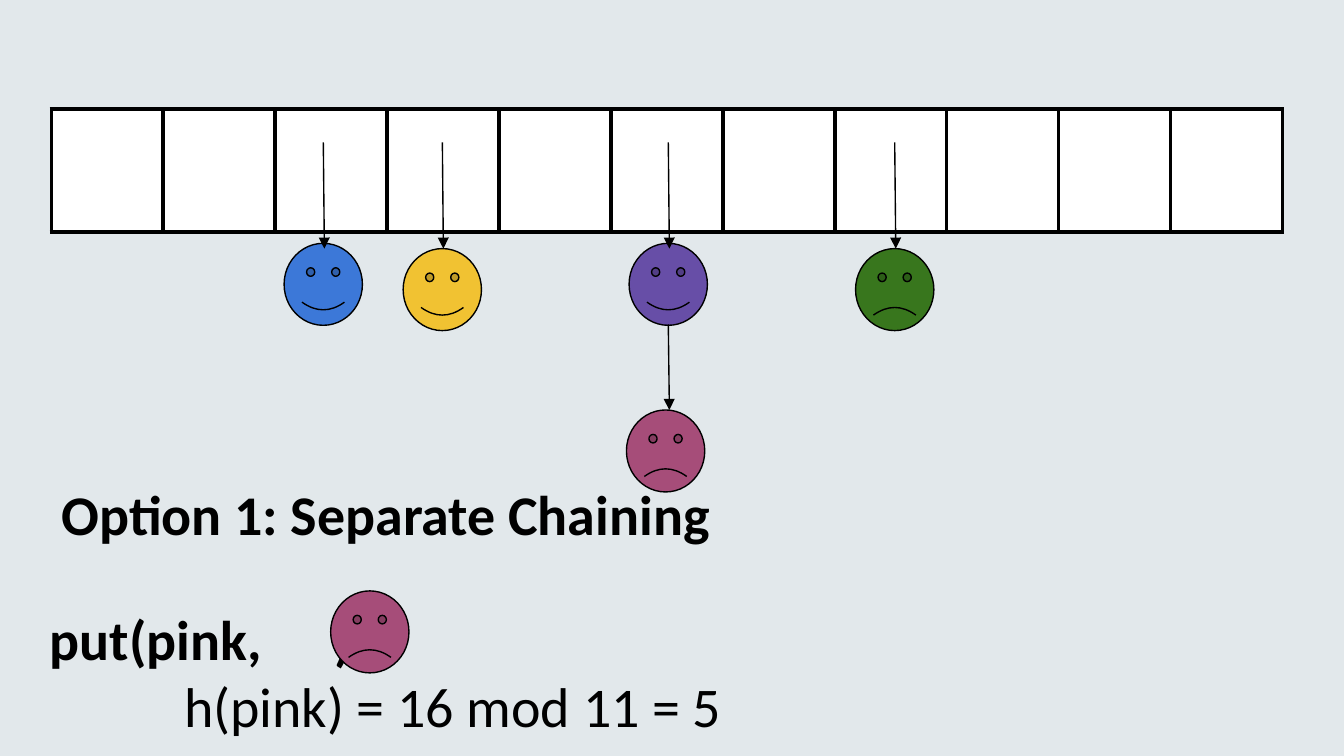
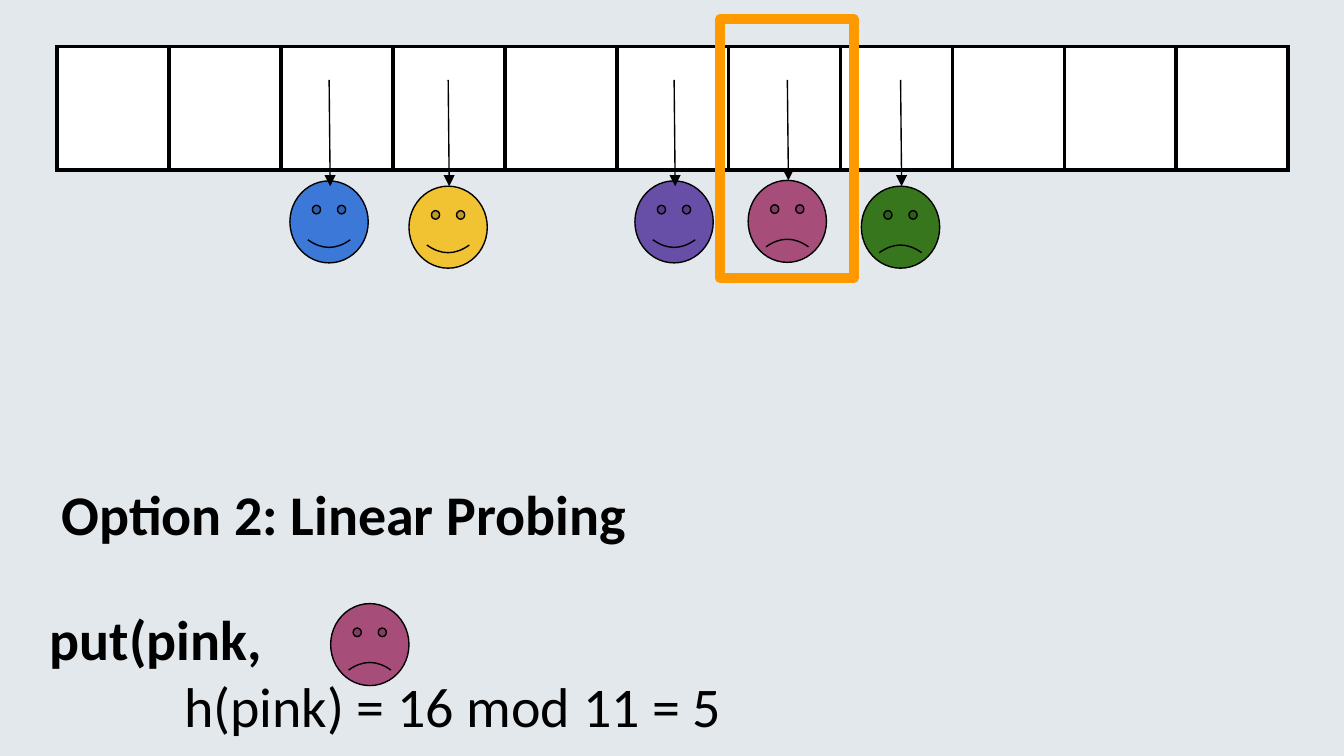
import pptx
import pptx.dml.color
import pptx.enum.shapes
import pptx.oxml
import pptx.oxml.ns
import pptx.util
from dataclasses import dataclass
from lxml import etree

Cm = pptx.util.Cm
Pt = pptx.util.Pt
SHAPE = pptx.enum.shapes.MSO_SHAPE
qn = pptx.oxml.ns.qn


@dataclass(frozen=True)
class Theme:
    font: str = "Calibri"
    size: float = 30
    background: str = "E2E8EB"
    ink: str = "000000"
    cell: str = "FFFFFF"
    blue: str = "3C78D8"
    yellow: str = "F1C232"
    purple: str = "674EA7"
    green: str = "38761D"
    pink: str = "A64D79"
    highlight: str = "FF9900"
    thin: float = 0.75
    border: float = 2.25
    frame: float = 5.25


THEME = Theme()
BUCKETS = 11
TABLE_W, TABLE_H = 23.27, 2.33
FACE_W, FACE_H = 1.48, 1.55
SMILE = 0.05
ARROW_TOP, ARROW_TIP = 0.63, 2.64
STORED = [
    (THEME.blue, 4.4, 2.54, True),
    (THEME.yellow, 6.65, 2.64, True),
    (THEME.purple, 10.92, 2.54, True),
    (THEME.green, 15.2, 2.64, False),
]


def rgb(value):
    return pptx.dml.color.RGBColor.from_string(value)


def set_line(line, color, width):
    line.color.rgb = rgb(color)
    line.width = Pt(width)


def add_text(slide, x, y, w, h, paragraphs):
    s = slide.shapes.add_textbox(Cm(x), Cm(y), Cm(w), Cm(h))
    tf = s.text_frame
    tf.word_wrap = True
    tf.margin_left = tf.margin_right = tf.margin_top = tf.margin_bottom = Cm(0.25)
    for i, (text, style) in enumerate(paragraphs):
        p = tf.paragraphs[0] if i == 0 else tf.add_paragraph()
        write(p, text, **style)


def write(p, text, bold=True, indent=0, tab=None):
    props = p._p.get_or_add_pPr()
    if indent:
        props.set("marL", str(Cm(indent)))
        props.set("indent", "0")
    if tab:
        tabs = etree.SubElement(props, qn("a:tabLst"))
        etree.SubElement(tabs, qn("a:tab"), pos=str(Cm(tab)), algn="l")
    r = p.add_run()
    r.text = text
    r.font.name = THEME.font
    r.font.size = Pt(THEME.size)
    r.font.bold = bold
    r.font.color.rgb = rgb(THEME.ink)


def add_border(cell):
    props = cell._tc.get_or_add_tcPr()
    for side in ("lnL", "lnR", "lnT", "lnB"):
        ln = etree.SubElement(props, qn(f"a:{side}"), w=str(Pt(THEME.border)))
        fill = etree.SubElement(ln, qn("a:solidFill"))
        etree.SubElement(fill, qn("a:srgbClr"), val=THEME.ink)


def add_buckets(slide, x, y):
    frame = slide.shapes.add_table(1, BUCKETS, Cm(x), Cm(y), Cm(TABLE_W), Cm(TABLE_H))
    table = frame.table
    table.first_row = False
    table.horz_banding = False
    for column in table.columns:
        column.width = Cm(TABLE_W / BUCKETS)
    for cell in table.iter_cells():
        add_border(cell)
        cell.fill.solid()
        cell.fill.fore_color.rgb = rgb(THEME.cell)


def add_face(slide, color, x, y, happy):
    s = slide.shapes.add_shape(SHAPE.SMILEY_FACE, Cm(x), Cm(y), Cm(FACE_W), Cm(FACE_H))
    s.shadow.inherit = False
    s.adjustments[0] = SMILE if happy else -SMILE
    s.fill.solid()
    s.fill.fore_color.rgb = rgb(color)
    set_line(s.line, THEME.ink, THEME.thin)


def add_arrow(slide, x, top, tip):
    s = slide.shapes.add_connector(
        pptx.enum.shapes.MSO_CONNECTOR.STRAIGHT, Cm(x), Cm(top), Cm(x + 0.02), Cm(tip))
    set_line(s.line, THEME.ink, THEME.thin)
    etree.SubElement(s.line._get_or_add_ln(), qn("a:tailEnd"), type="triangle")
    etree.SubElement(s._element.spPr, qn("a:effectLst"))


def add_entry(slide, x, y, color, dx, dy, happy, tip=ARROW_TIP):
    add_face(slide, color, x + dx, y + dy, happy)
    add_arrow(slide, x + dx + FACE_W / 2, y + ARROW_TOP, y + tip)


def add_highlight(slide, x, y, w, h):
    s = slide.shapes.add_shape(SHAPE.RECTANGLE, Cm(x), Cm(y), Cm(w), Cm(h))
    s.shadow.inherit = False
    s.fill.background()
    set_line(s.line, THEME.highlight, THEME.frame)
    etree.SubElement(s.line._get_or_add_ln(), qn("a:round"))


def add_hash_slide(prs, title, x, y, key_y, tab):
    slide = prs.slides.add_slide(prs.slide_layouts[6])
    add_buckets(slide, x, y)
    for entry in STORED:
        add_entry(slide, x, y, *entry)
    add_text(slide, 0.69, 11.18, 20.32, 2.36, [
        ("put(pink,\t)", {"tab": tab}),
        ("h(pink) = 16 mod 11 = 5", {"bold": False, "indent": 2.54}),
    ])
    add_face(slide, THEME.pink, 6.25, key_y, False)
    add_text(slide, 0.91, 8.81, 20.32, 1.63, [(title, {})])
    return slide


def main():
    prs = pptx.Presentation()
    prs.slide_width, prs.slide_height = Cm(25.4), Cm(14.29)
    fill = prs.slide_master.background.fill
    fill.solid()
    fill.fore_color.rgb = rgb(THEME.background)

    chaining = add_hash_slide(prs, "Option 1: Separate Chaining", 0.97, 2.06, 11.17, 5.38)
    add_face(chaining, THEME.pink, 11.84, 7.75, False)
    add_arrow(chaining, 12.63, 6.13, 7.75)

    x, y = 1.08, 0.88
    probing = add_hash_slide(prs, "Option 2: Linear Probing", x, y, 11.41, 5.62)
    add_entry(probing, x, y, THEME.pink, 13.06, 2.53, False, tip=2.53)
    add_highlight(probing, 13.61, 0.36, 2.53, 4.9)

    prs.save("out.pptx")


if __name__ == "__main__":
    main()
